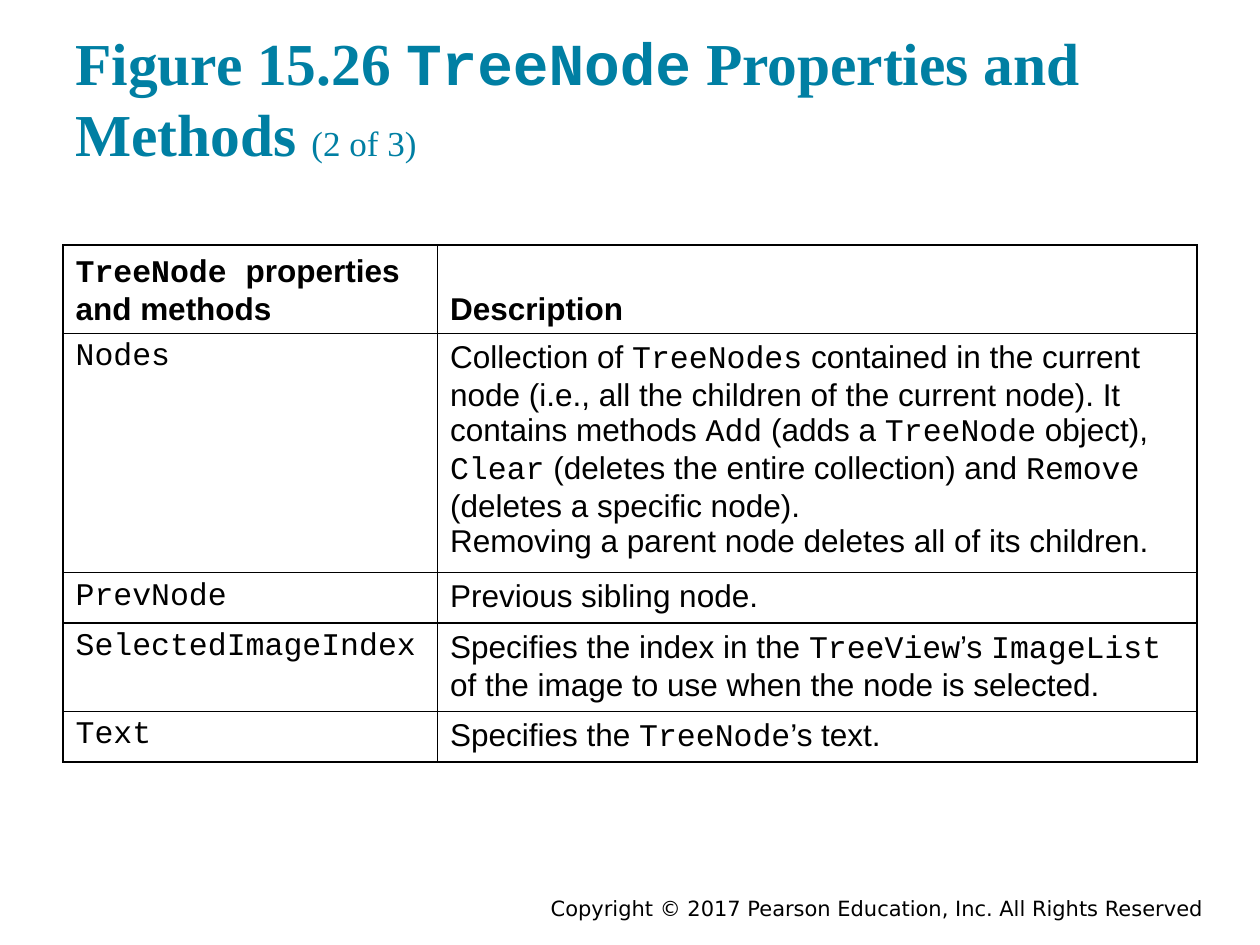
from lxml import etree
from pptx import Presentation
from pptx.dml.color import RGBColor
from pptx.enum.text import MSO_ANCHOR, PP_ALIGN
from pptx.oxml import parse_xml
from pptx.util import Pt

TOP, MIDDLE, BOTTOM = MSO_ANCHOR.TOP, MSO_ANCHOR.MIDDLE, MSO_ANCHOR.BOTTOM
LEFT, RIGHT = PP_ALIGN.LEFT, PP_ALIGN.RIGHT
DRAWING_NS = "http://schemas.openxmlformats.org/drawingml/2006/main"
CODE_FONT = "Courier New"
TEAL, BLACK, WHITE = "007FA3", "000000", "FFFFFF"

# Backticks mark the words set in the code font.
TITLE = "Figure 15.26 `TreeNode` Properties and Methods "
TITLE_PART = "(2 of 3)"
COPYRIGHT = "Copyright © 2017 Pearson Education, Inc. All Rights Reserved"
HEADER = (["`TreeNode `properties", "and methods"], ["Description"])
ROWS = [
    (["`Nodes`"],
     ["Collection of `TreeNodes` contained in the current node (i.e., all the "
      "children of the current node). It contains methods `Add` (adds a "
      "`TreeNode` object), `Clear` (deletes the entire collection) and "
      "`Remove` (deletes a specific node).",
      "Removing a parent node deletes all of its children."]),
    (["`PrevNode`"], ["Previous sibling node."]),
    (["`SelectedImageIndex`"],
     ["Specifies the index in the `TreeView`’s `ImageList` of the image to use "
      "when the node is selected."]),
    (["`Text`"], ["Specifies the `TreeNode`’s text."]),
]
COLUMN_WIDTHS = (214, 434)
ROW_HEIGHTS = (49, 133, 28, 49, 28.5)


def color(value):
    return RGBColor.from_string(value)


def add_span(para, text, font, size, ink, bold=False):
    span = para.add_run()
    span.text = text
    span.font.name = font
    span.font.size = Pt(size)
    span.font.bold = bold
    span.font.color.rgb = color(ink)


def add_marked_text(para, text, font, size, ink, bold=False):
    """Add runs to a paragraph, with backticked parts in the code font."""
    for index, part in enumerate(text.split("`")):
        if part:
            add_span(para, part, CODE_FONT if index % 2 else font, size, ink, bold)


def add_text_box(page, left, top, width, height, anchor, align):
    """Add an empty text box and return its first paragraph."""
    frame = page.shapes.add_textbox(Pt(left), Pt(top), Pt(width), Pt(height)).text_frame
    frame.word_wrap = True
    frame.vertical_anchor = anchor
    frame.margin_top = frame.margin_bottom = Pt(7.2 if anchor == BOTTOM else 3.6)
    para = frame.paragraphs[0]
    para.alignment = align
    return para


def add_borders(cell, ink, width):
    properties = cell._tc.get_or_add_tcPr()
    for side in ("lnL", "lnR", "lnT", "lnB"):
        properties.append(parse_xml(
            f'<a:{side} xmlns:a="{DRAWING_NS}" w="{Pt(width)}"><a:solidFill>'
            f'<a:srgbClr val="{ink}"/></a:solidFill></a:{side}>'))


def fill_cell(cell, lines, is_header):
    add_borders(cell, BLACK, 1)
    cell.fill.solid()
    cell.fill.fore_color.rgb = color(WHITE)
    cell.vertical_anchor = BOTTOM if is_header else TOP
    frame = cell.text_frame
    for index, line in enumerate(lines):
        para = frame.add_paragraph() if index else frame.paragraphs[0]
        add_marked_text(para, line, "Arial", 18, BLACK, is_header)


def add_property_table(page):
    rows = [HEADER] + ROWS
    table = page.shapes.add_table(
        len(rows), len(COLUMN_WIDTHS), Pt(36), Pt(140),
        Pt(sum(COLUMN_WIDTHS)), Pt(sum(ROW_HEIGHTS))).table
    table.horz_banding = False
    for column, width in zip(table.columns, COLUMN_WIDTHS):
        column.width = Pt(width)
    for number, (row, height, texts) in enumerate(zip(table.rows, ROW_HEIGHTS, rows)):
        row.height = Pt(height)
        for cell, lines in zip(row.cells, texts):
            fill_cell(cell, lines, number == 0)


def main():
    deck = Presentation()
    deck.slide_width, deck.slide_height = Pt(720), Pt(540)
    page = deck.slides.add_slide(deck.slide_layouts[6])

    footer = add_text_box(page, 216, 510, 478.8, 18, MIDDLE, RIGHT)
    add_span(footer, COPYRIGHT, "DejaVu Sans", 12, BLACK)

    title = add_text_box(page, 36, 17.3, 648, 86.4, BOTTOM, LEFT)
    add_marked_text(title, TITLE, "Times New Roman", 34, TEAL, bold=True)
    add_span(title, TITLE_PART, "Times New Roman", 20, TEAL)

    add_property_table(page)
    deck.save("out.pptx")


if __name__ == "__main__":
    main()
